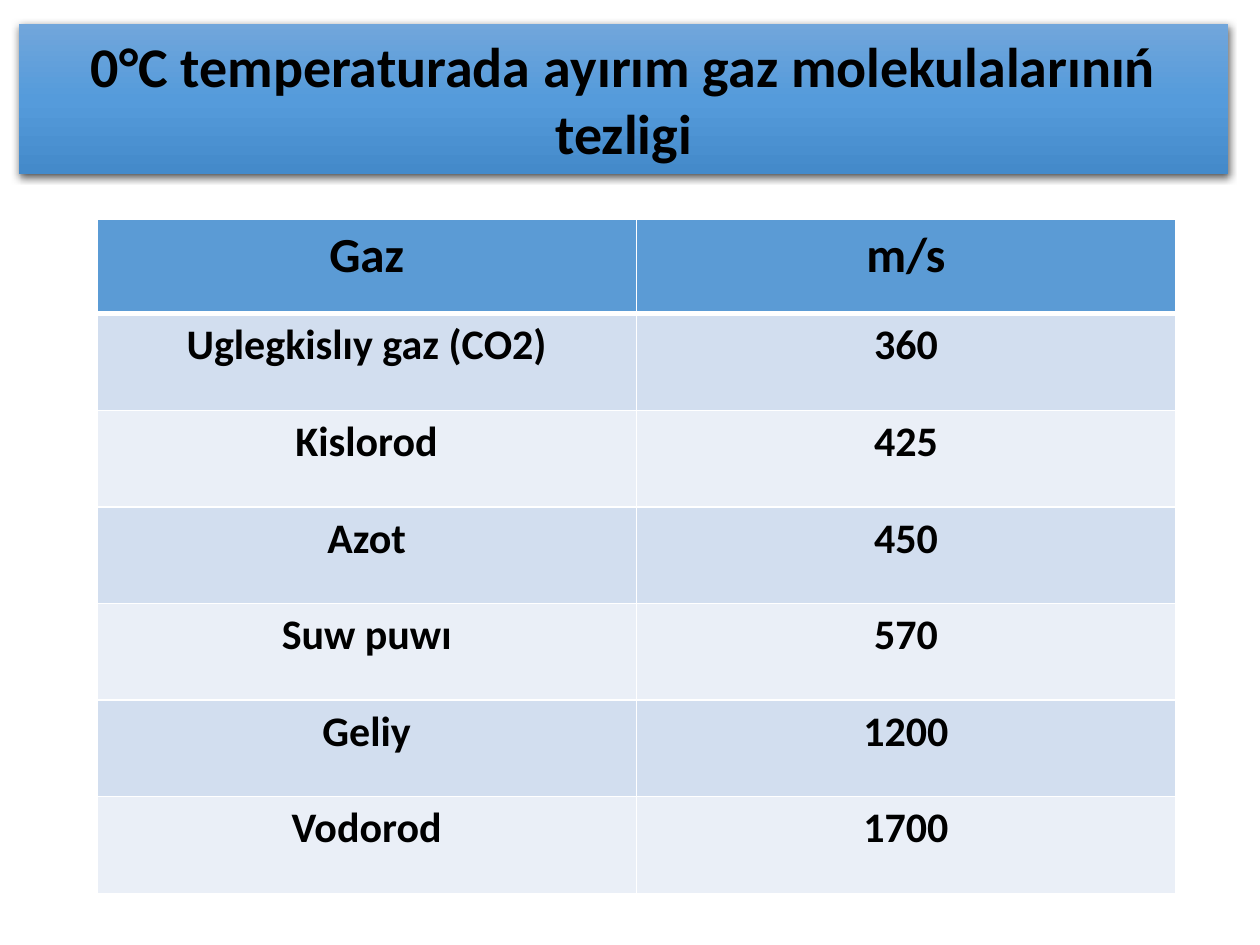
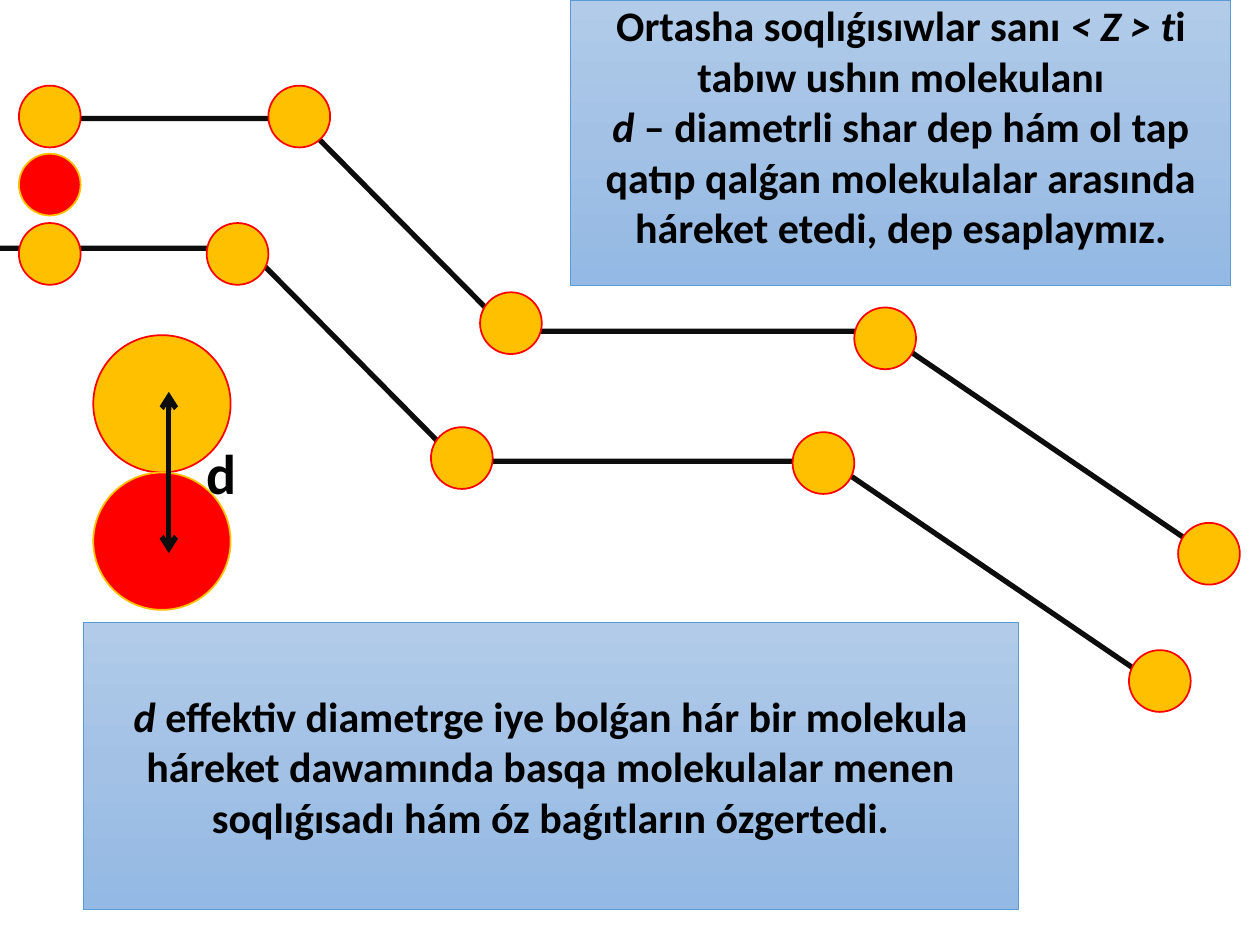
import pptx
import pptx.dml.color
import pptx.enum.shapes
import pptx.enum.text
import pptx.oxml
import pptx.oxml.ns
import pptx.util
from lxml import etree

Inches = pptx.util.Inches
Pt = pptx.util.Pt
RGBColor = pptx.dml.color.RGBColor
MSO_SHAPE = pptx.enum.shapes.MSO_SHAPE
PP_ALIGN = pptx.enum.text.PP_ALIGN
MSO_ANCHOR = pptx.enum.text.MSO_ANCHOR
qn = pptx.oxml.ns.qn

FONT = "Calibri"
BLACK = RGBColor(0x00, 0x00, 0x00)
INK = RGBColor(0x0D, 0x0D, 0x0D)
AMBER = RGBColor(0xFF, 0xC0, 0x00)
RED = RGBColor(0xFF, 0x00, 0x00)
BLUE = RGBColor(0x5B, 0x9B, 0xD5)
BAND_DARK = RGBColor(0xD2, 0xDE, 0xEF)
BAND_LIGHT = RGBColor(0xEA, 0xEF, 0xF7)
TITLE_STOPS = [RGBColor(0x71, 0xA6, 0xDB), RGBColor(0x55, 0x9B, 0xDB), RGBColor(0x44, 0x8A, 0xCA)]
NOTE_STOPS = [RGBColor(0xB1, 0xCB, 0xE9), RGBColor(0xA3, 0xC1, 0xE5), RGBColor(0x93, 0xB9, 0xE4)]


def fill_downward(shape, stops):
    """Fill the shape with evenly spaced colour stops from top to bottom."""
    shape.fill.gradient()
    shape.fill.gradient_angle = 270
    stop_list = next(shape._element.iter(qn("a:gsLst")))
    for stop in list(stop_list):
        stop_list.remove(stop)
    for i, color in enumerate(stops):
        stop = etree.SubElement(stop_list, qn("a:gs"), pos=str(i * 100000 // (len(stops) - 1)))
        etree.SubElement(stop, qn("a:srgbClr"), val=str(color))


def style_text(paragraph, size, align=PP_ALIGN.CENTER):
    paragraph.alignment = align
    paragraph.font.name = FONT
    paragraph.font.size = Pt(size)
    paragraph.font.bold = True
    paragraph.font.color.rgb = BLACK


deck = pptx.Presentation()
deck.slide_width = Inches(10)
deck.slide_height = Inches(7.5)

# Slide 1: speeds of gas molecules
speeds_slide = deck.slides.add_slide(deck.slide_layouts[5])
title = speeds_slide.shapes.title
title.left, title.top, title.width, title.height = [Inches(v) for v in (0.15, 0.19, 9.6, 1.19)]
title.text_frame.text = "0°С temperaturada аyırım gaz molekulalarınıń tezligi"
title.text_frame.auto_size = pptx.enum.text.MSO_AUTO_SIZE.NONE
title.text_frame.vertical_anchor = MSO_ANCHOR.MIDDLE
style_text(title.text_frame.paragraphs[0], 32)
fill_downward(title, TITLE_STOPS)
title._element.spPr.append(pptx.oxml.parse_xml(
    '<a:effectLst xmlns:a="http://schemas.openxmlformats.org/drawingml/2006/main">'
    '<a:outerShdw blurRad="57150" dist="19050" dir="5400000" algn="ctr" rotWithShape="0">'
    '<a:srgbClr val="000000"><a:alpha val="63000"/></a:srgbClr></a:outerShdw></a:effectLst>'))

gas_speeds = [
    ("Gaz", "m/s"),
    ("Uglegkislıy gaz (СО2)", "360"),
    ("Kislorod", "425"),
    ("Azot", "450"),
    ("Suw puwı", "570"),
    ("Geliy", "1200"),
    ("Vodorod", "1700"),
]
speeds = speeds_slide.shapes.add_table(
    len(gas_speeds), 2, Inches(0.77), Inches(1.74), Inches(8.56), Inches(5.35)).table
for r, entry in enumerate(gas_speeds):
    speeds.rows[r].height = Inches(0.75 if r == 0 else (5.35 - 0.75) / 6)
    for c, text in enumerate(entry):
        cell = speeds.cell(r, c)
        cell.text = text
        style_text(cell.text_frame.paragraphs[0], 28 if r == 0 else 24)
        borders = cell._tc.get_or_add_tcPr()
        for side in ("lnL", "lnR", "lnT", "lnB"):
            heavy = (r, side) in ((0, "lnB"), (1, "lnT"))
            border = etree.SubElement(borders, qn(f"a:{side}"), w=str(Pt(3 if heavy else 1)))
            paint = etree.SubElement(border, qn("a:solidFill"))
            etree.SubElement(paint, qn("a:srgbClr"), val="FFFFFF")
        cell.fill.solid()
        cell.fill.fore_color.rgb = BLUE if r == 0 else BAND_DARK if r % 2 else BAND_LIGHT

# Slide 2: collisions of a molecule of diameter d
collisions = deck.slides.add_slide(deck.slide_layouts[6]).shapes

# Both edges of the swept path follow the same turns
turns = [(1.96, 0), (3.63, 1.69), (6.58, 1.69), (9.27, 3.52)]
for x, y in [(0.41, 0.94), (0, 1.97)]:
    outline = collisions.build_freeform(Inches(x), Inches(y))
    outline.add_line_segments([(Inches(x + dx), Inches(y + dy)) for dx, dy in turns], close=False)
    edge = outline.convert_to_shape()
    edge.shadow.inherit = False
    edge.fill.background()
    edge.line.color.rgb = INK
    edge.line.width = Pt(3)

SMALL, LARGE = 0.49, 1.09
target_spots = [(0.15, 0.68), (0.15, 1.77), (3.42, 3.39), (3.81, 2.32), (2.13, 0.68),
                (8.96, 5.16), (1.64, 1.77), (6.29, 3.43), (6.78, 2.44), (9.35, 4.15)]
molecules = [(x, y, SMALL, AMBER, RED) for x, y in target_spots]
molecules += [
    (0.15, 1.22, SMALL, RED, AMBER),
    (0.74, 2.66, LARGE, AMBER, RED),
    (0.74, 2.66 + LARGE, LARGE, RED, AMBER),
]
for x, y, diameter, body, rim in molecules:
    molecule = collisions.add_shape(
        MSO_SHAPE.OVAL, Inches(x), Inches(y), Inches(diameter), Inches(diameter))
    molecule.shadow.inherit = False
    molecule.fill.solid()
    molecule.fill.fore_color.rgb = body
    molecule.line.color.rgb = rim
    molecule.line.width = Pt(1)

# Each paragraph is a list of (text, italic) runs
assumption = [
    [("Ortasha soqlıǵısıwlar sanı ", False), ("< Z > t", True),
     ("i tabıw ushın molekulanı", False)],
    [("d", True),
     (" – diametrli shar dep hám ol tap qatıp qalǵan molekulalar arasında háreket etedi, "
      "dep esaplaymız.", False)],
]
consequence = [
    [("d ", True),
     ("effektiv diametrge iye bolǵan hár bir molekula háreket dawamında basqa molekulalar "
      "menen soqlıǵısadı hám óz baǵıtların ózgertedi.", False)],
]
notes = [
    (4.53, 0, 5.24, 2.27, MSO_ANCHOR.TOP, assumption),
    (0.66, 4.94, 7.42, 2.28, MSO_ANCHOR.MIDDLE, consequence),
]
for x, y, width, height, anchor, paragraphs in notes:
    note = collisions.add_shape(
        MSO_SHAPE.RECTANGLE, Inches(x), Inches(y), Inches(width), Inches(height))
    note.shadow.inherit = False
    fill_downward(note, NOTE_STOPS)
    note.line.color.rgb = BLUE
    note.line.width = Pt(0.5)
    frame = note.text_frame
    frame.word_wrap = True
    frame.vertical_anchor = anchor
    frame.margin_top = frame.margin_bottom = 0
    for i, runs in enumerate(paragraphs):
        paragraph = frame.add_paragraph() if i else frame.paragraphs[0]
        style_text(paragraph, 24)
        for text, italic in runs:
            run = paragraph.add_run()
            run.text = text
            run.font.italic = italic

diameter_arrow = collisions.add_connector(
    pptx.enum.shapes.MSO_CONNECTOR.STRAIGHT, Inches(1.34), Inches(3.11), Inches(1.34), Inches(4.39))
diameter_arrow.line.color.rgb = INK
diameter_arrow.line.width = Pt(3)
for end in ("a:headEnd", "a:tailEnd"):
    etree.SubElement(diameter_arrow.line._get_or_add_ln(), qn(end), type="arrow")
etree.SubElement(diameter_arrow._element.spPr, qn("a:effectLst"))

diameter_label = collisions.add_textbox(Inches(1.54), Inches(3.43), Inches(0.4), Inches(0.64))
diameter_label.text_frame.text = "d"
style_text(diameter_label.text_frame.paragraphs[0], 32, PP_ALIGN.LEFT)

deck.save("out.pptx")
